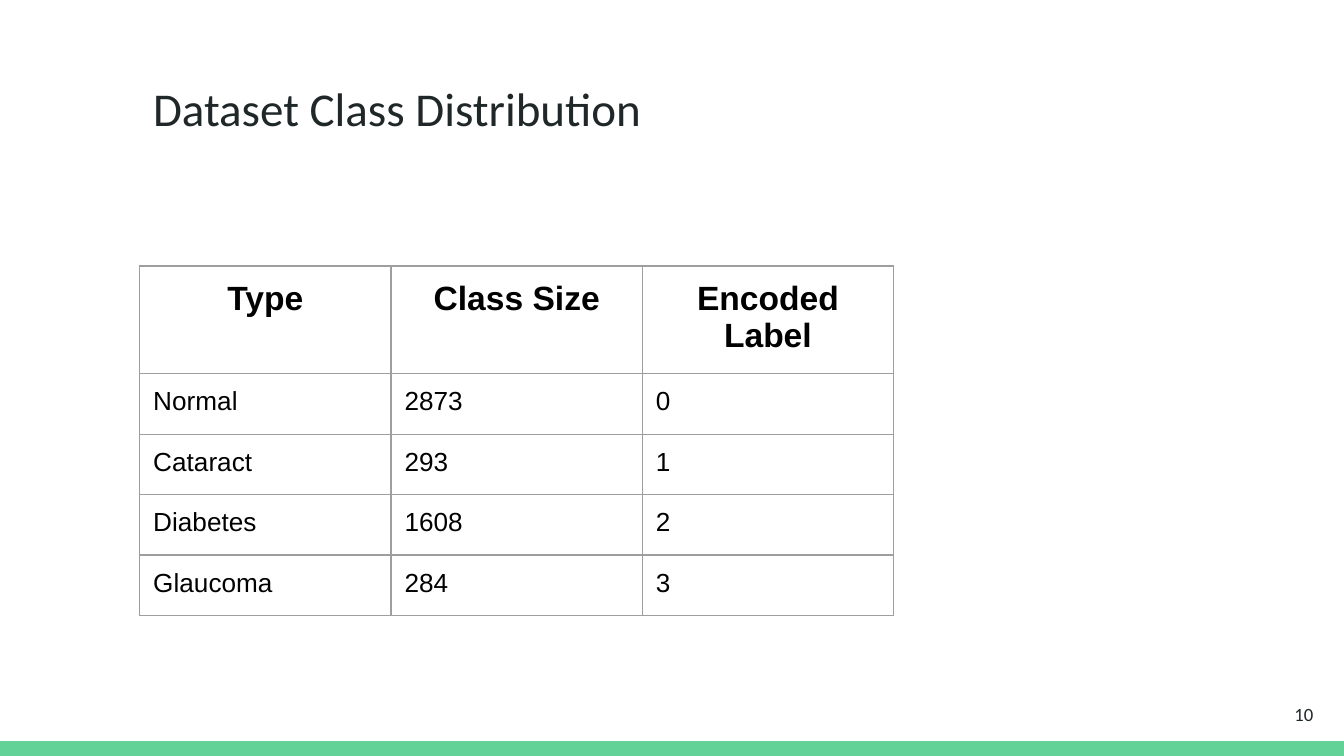
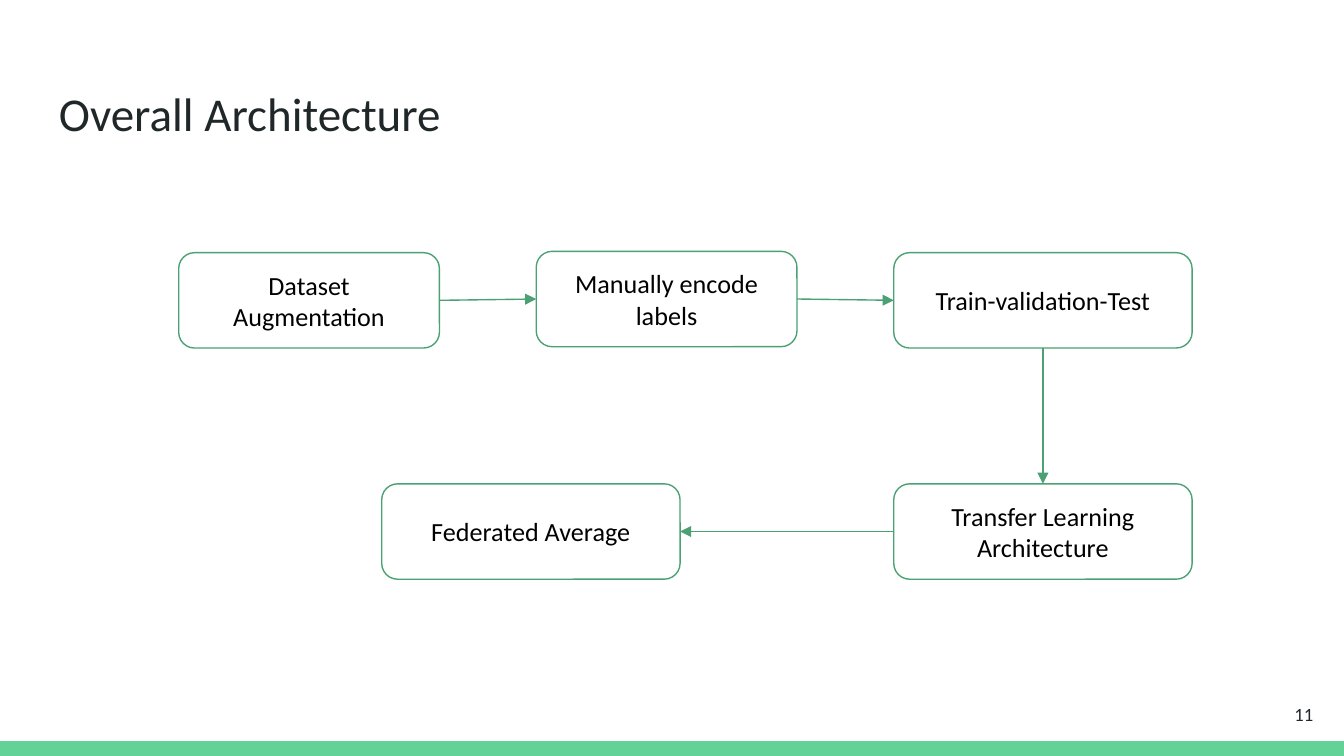
from lxml import etree
from pptx import Presentation
from pptx.dml.color import RGBColor
from pptx.enum import shapes, text
from pptx.oxml.ns import qn
from pptx.util import Inches, Pt

# Shared style
WHITE = RGBColor(0xFF, 0xFF, 0xFF)
BLACK = RGBColor(0x00, 0x00, 0x00)
INK = RGBColor(0x20, 0x27, 0x29)
BAND_GREEN = RGBColor(0x63, 0xD2, 0x97)
LINE_GREEN = RGBColor(0x4B, 0xA1, 0x73)
BORDER_GREY = RGBColor(0x9E, 0x9E, 0x9E)
BODY_FONT, TABLE_FONT = "Calibri", "Arial"
PAGE_WIDTH = Inches(10)
PAGE_HEIGHT = PAGE_WIDTH * 9 // 16
BAND_HEIGHT = Inches(0.11)
INSET = Inches(0.1)
LINE_WIDTH = Pt(0.75)

# Content
CLASS_TABLE = [
    ("Type", "Class Size", "Encoded Label"),
    ("Normal", "2873", "0"),
    ("Cataract", "293", "1"),
    ("Diabetes", "1608", "2"),
    ("Glaucoma", "284", "3"),
]

STEP_HEIGHT = 0.71
STEPS = [  # label, left, top, width
    ("Dataset Augmentation", 1.33, 1.88, 1.94),
    ("Manually encode labels", 3.99, 1.87, 1.94),
    ("Train-validation-Test", 6.65, 1.88, 2.22),
    ("Transfer Learning Architecture", 6.65, 3.6, 2.22),
    ("Federated Average", 2.84, 3.6, 2.22),
]
TOP, LEFT, BOTTOM, RIGHT = range(4)
# Sides joined by the arrow from each step to the next
ARROW_SIDES = [(RIGHT, LEFT), (RIGHT, LEFT), (BOTTOM, TOP), (LEFT, RIGHT)]


def write(holder, words, size, font, color, align, bold=False):
    """Fill a text frame with one formatted paragraph."""
    frame = holder.text_frame
    frame.word_wrap = True
    frame.text = words
    para = frame.paragraphs[0]
    para.alignment = align
    for span in para.runs:
        span.font.size = Pt(size)
        span.font.name = font
        span.font.bold = bold
        span.font.color.rgb = color


def set_insets(holder):
    holder.margin_left = holder.margin_right = INSET
    holder.margin_top = holder.margin_bottom = INSET


def add_text(page, words, left, top, width, height, size, align, anchor):
    box = page.shapes.add_textbox(*map(Inches, (left, top, width, height)))
    write(box, words, size, BODY_FONT, INK, align)
    set_insets(box.text_frame)
    box.text_frame.vertical_anchor = anchor


def add_page(deck, title, title_place, number):
    """Blank page with the green band, title and page number."""
    page = deck.slides.add_slide(deck.slide_layouts[6])
    page.background.fill.solid()
    page.background.fill.fore_color.rgb = WHITE
    band = page.shapes.add_shape(shapes.MSO_SHAPE.RECTANGLE, 0,
                                 PAGE_HEIGHT - BAND_HEIGHT, PAGE_WIDTH, BAND_HEIGHT)
    band.shadow.inherit = False
    band.fill.solid()
    band.fill.fore_color.rgb = BAND_GREEN
    band.line.fill.background()
    add_text(page, title, *title_place, 25.2, text.PP_ALIGN.LEFT, text.MSO_ANCHOR.TOP)
    add_text(page, number, 9.27, 5.1, 0.6, 0.43, 10,
             text.PP_ALIGN.RIGHT, text.MSO_ANCHOR.MIDDLE)
    return page


def add_borders(cell):
    properties = cell._tc.get_or_add_tcPr()
    for position, side in enumerate(("lnL", "lnR", "lnT", "lnB")):
        line = etree.Element(qn("a:" + side), w=str(LINE_WIDTH))
        fill = etree.SubElement(line, qn("a:solidFill"))
        etree.SubElement(fill, qn("a:srgbClr"), val=str(BORDER_GREY))
        properties.insert(position, line)


def add_class_table(page):
    heights = [0.52] + [0.45] * (len(CLASS_TABLE) - 1)
    column_width = 1.87
    columns = len(CLASS_TABLE[0])
    frame = page.shapes.add_table(len(CLASS_TABLE), columns, Inches(1.04), Inches(1.98),
                                  Inches(column_width * columns), Inches(sum(heights)))
    table = frame.table
    table.horz_banding = False
    for column in table.columns:
        column.width = Inches(column_width)
    for index, values in enumerate(CLASS_TABLE):
        table.rows[index].height = Inches(heights[index])
        header = index == 0
        align = text.PP_ALIGN.CENTER if header else text.PP_ALIGN.LEFT
        for cell, value in zip(table.rows[index].cells, values):
            write(cell, value, 18 if header else 14, TABLE_FONT, BLACK, align, header)
            set_insets(cell)
            cell.fill.background()
            add_borders(cell)


def add_step(page, label, left, top, width):
    box = page.shapes.add_shape(shapes.MSO_SHAPE.ROUNDED_RECTANGLE,
                                *map(Inches, (left, top, width, STEP_HEIGHT)))
    box.shadow.inherit = False
    box.adjustments[0] = 1 / 6
    box.fill.solid()
    box.fill.fore_color.rgb = WHITE
    box.line.color.rgb = LINE_GREEN
    box.line.width = LINE_WIDTH
    write(box, label, 14, BODY_FONT, BLACK, text.PP_ALIGN.CENTER)
    set_insets(box.text_frame)
    box.text_frame.vertical_anchor = text.MSO_ANCHOR.MIDDLE
    return box


def add_arrow(page, start, end, sides):
    arrow = page.shapes.add_connector(shapes.MSO_CONNECTOR.STRAIGHT, 0, 0, 0, 0)
    arrow.begin_connect(start, sides[0])
    arrow.end_connect(end, sides[1])
    arrow.line.color.rgb = LINE_GREEN
    arrow.line.width = LINE_WIDTH
    etree.SubElement(arrow.line._get_or_add_ln(), qn("a:tailEnd"), type="triangle")
    etree.SubElement(arrow._element.spPr, qn("a:effectLst"))


def main():
    deck = Presentation()
    deck.slide_width, deck.slide_height = PAGE_WIDTH, PAGE_HEIGHT

    # Class distribution table
    page = add_page(deck, "Dataset Class Distribution", (1.04, 0.49, 5.62, 0.63), "10")
    add_class_table(page)

    # Architecture flow
    page = add_page(deck, "Overall Architecture", (0.34, 0.53, 9.32, 0.63), "11")
    boxes = [add_step(page, *step) for step in STEPS]
    for start, end, sides in zip(boxes, boxes[1:], ARROW_SIDES):
        add_arrow(page, start, end, sides)

    deck.save("out.pptx")


if __name__ == "__main__":
    main()
